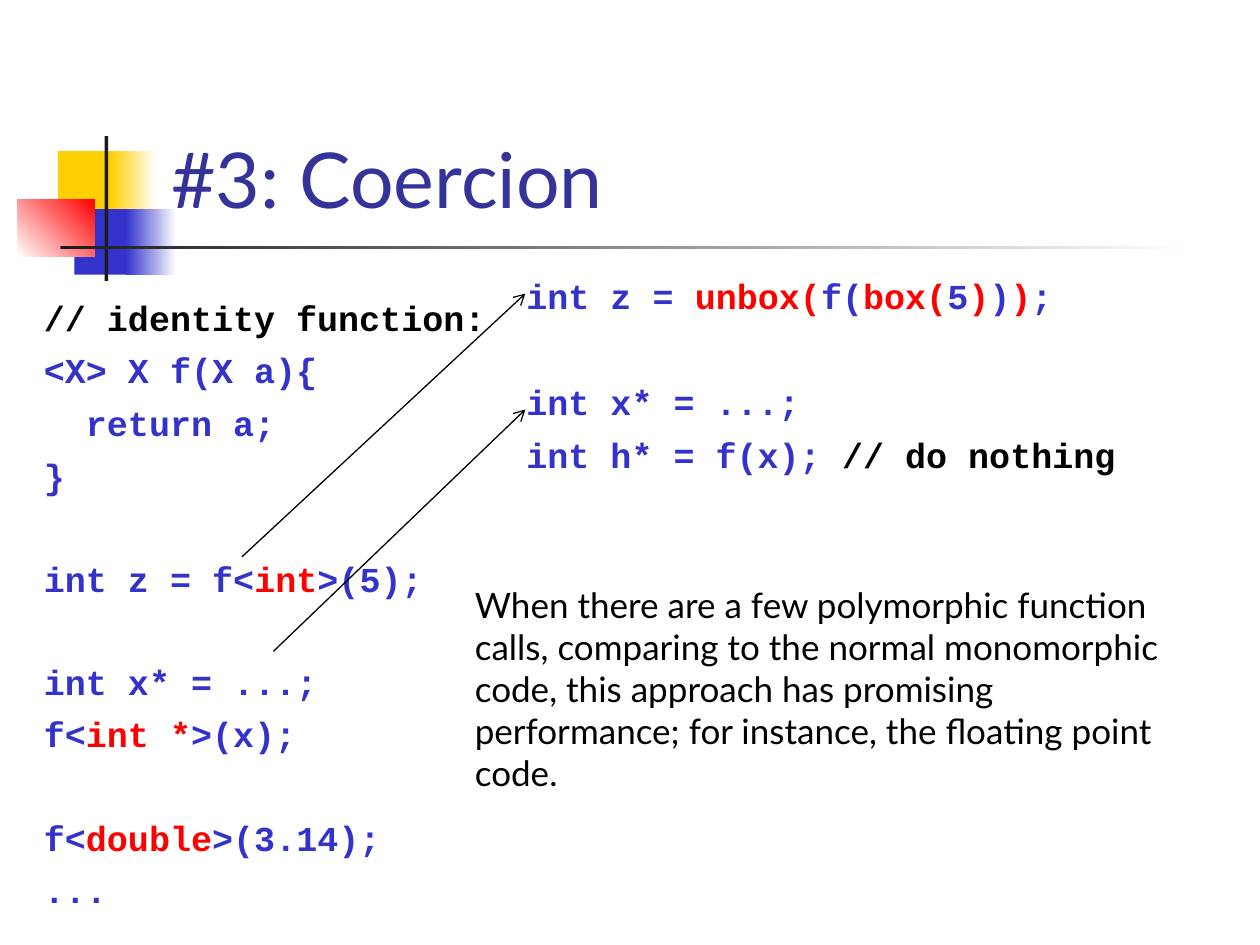
"""Build the slide on coercion of polymorphic calls."""
import dataclasses

import pptx
import pptx.dml.color
import pptx.enum.shapes
import pptx.enum.text
import pptx.oxml
import pptx.oxml.ns
import pptx.util

Inches = pptx.util.Inches
Pt = pptx.util.Pt


@dataclasses.dataclass(frozen=True)
class Theme:
    """Colours, fonts and type sizes of the slide."""

    title: str = "333399"
    code: str = "3333CC"
    accent: str = "FF0000"
    text: str = "000000"
    yellow: str = "FFCF01"
    dark: str = "1C1C1C"
    white: str = "FFFFFF"
    body_font: str = "Lato"
    code_font: str = "Courier New"
    title_size: float = 44
    body_size: float = 20
    line_gap: float = 6.1
    blank_gap: float = 34.9


THEME = Theme()

ORNAMENTS = [
    ((0.46, 1.2, 0.48, 0.52), (THEME.yellow,), 0),
    ((0.88, 1.2, 0.36, 0.52), (THEME.yellow, THEME.white), 0),
    ((0.59, 1.66, 0.46, 0.52), (THEME.code,), 0),
    ((1, 1.66, 0.4, 0.52), (THEME.code, THEME.white), 0),
    ((0.14, 1.58, 0.61, 0.46), (THEME.white, THEME.accent), 45),
    ((0.83, 1.08, 0.03, 1.15), (THEME.dark,), 0),
    ((0.48, 1.95, 9, 0.03), (THEME.dark, THEME.white), 0),
]

GENERIC_CODE = [
    [[("// identity function:", THEME.text)],
     [("<X> X f(X a){", THEME.code)],
     [("  return a;", THEME.code)],
     [("}", THEME.code)]],
    [[("int z = f<", THEME.code), ("int", THEME.accent), (">(5);", THEME.code)]],
    [[("int x* = ...;", THEME.code)],
     [("f<", THEME.code), ("int *", THEME.accent), (">(x);", THEME.code)]],
    [[("f<", THEME.code), ("double", THEME.accent), (">(3.14);", THEME.code)],
     [("...", THEME.code)]],
]

BOXED_CODE = [
    [[("int z = ", THEME.code), ("unbox(", THEME.accent), ("f(", THEME.code),
      ("box(", THEME.accent), ("5", THEME.code), (")", THEME.accent),
      (")", THEME.code), (")", THEME.accent), (";", THEME.code)]],
]

POINTER_CODE = [
    [[("int x* = ...;", THEME.code)],
     [("int h* = f(x); ", THEME.code), ("// do nothing", THEME.text)]],
]

REMARK = (
    "When there are a few polymorphic function calls, comparing to the normal "
    "monomorphic code, this approach has promising performance; for instance, "
    "the floating point code."
)


def rgb(value):
    """Return a colour object for a hex value."""
    return pptx.dml.color.RGBColor.from_string(value)


def style_font(font, name, size, color, bold=False):
    """Set the face, size, colour and weight of a font."""
    font.name = name
    font.size = Pt(size)
    font.bold = bold
    font.color.rgb = rgb(color)


def add_ornament(page, place, colors, angle):
    """Add a borderless rectangle with a plain or gradient fill."""
    shape = page.shapes.add_shape(
        pptx.enum.shapes.MSO_SHAPE.RECTANGLE, *map(Inches, place))
    shape.shadow.inherit = False
    shape.line.fill.background()
    if len(colors) == 1:
        shape.fill.solid()
        shape.fill.fore_color.rgb = rgb(colors[0])
        return
    shape.fill.gradient()
    shape.fill.gradient_angle = angle
    for stop, color, position in zip(shape.fill.gradient_stops, colors, (0, 1)):
        stop.color.rgb = rgb(color)
        stop.position = position


def set_title(page, text):
    """Place and format the title placeholder in front of the ornaments."""
    title = page.shapes.title
    title.element.getparent().append(title.element)
    title.left, title.top, title.width, title.height = map(
        Inches, (1.26, 0.23, 8.52, 1.6))
    frame = title.text_frame
    frame.text = text
    frame.vertical_anchor = pptx.enum.text.MSO_ANCHOR.BOTTOM
    para = frame.paragraphs[0]
    para.alignment = pptx.enum.text.PP_ALIGN.LEFT
    style_font(para.runs[0].font, THEME.body_font, THEME.title_size, THEME.title)


def add_text_box(page, place):
    """Add a wrapping text box and return its frame."""
    frame = page.shapes.add_textbox(*map(Inches, place)).text_frame
    frame.word_wrap = True
    return frame


def add_code(page, place, groups):
    """Add groups of coloured code lines with a wider gap between groups."""
    frame = add_text_box(page, place)
    frame.margin_top = Inches(0.1)
    para = None
    for group in groups:
        for index, line in enumerate(group):
            if para is None:
                para = frame.paragraphs[0]
            else:
                para = frame.add_paragraph()
                para.space_before = Pt(
                    THEME.line_gap if index else THEME.blank_gap)
            for text, color in line:
                span = para.add_run()
                span.text = text
                style_font(span.font, THEME.code_font, THEME.body_size, color, True)


def add_remark(page, place, text):
    """Add a paragraph of body text."""
    frame = add_text_box(page, place)
    frame.text = text
    style_font(frame.paragraphs[0].runs[0].font,
               THEME.body_font, THEME.body_size, THEME.text)


def add_arrow(page, start, end):
    """Add a thin straight arrow with an open head at its end."""
    arrow = page.shapes.add_connector(
        pptx.enum.shapes.MSO_CONNECTOR.STRAIGHT, *map(Inches, start + end))
    arrow.line.width = Pt(0.75)
    arrow.line.color.rgb = rgb(THEME.text)
    properties = arrow.element.spPr
    namespace = pptx.oxml.ns.nsdecls("a")
    outline = properties.find(pptx.oxml.ns.qn("a:ln"))
    outline.append(pptx.oxml.parse_xml(f'<a:tailEnd {namespace} type="arrow"/>'))
    properties.append(pptx.oxml.parse_xml(f"<a:effectLst {namespace}/>"))


def main():
    """Build and save the deck."""
    deck = pptx.Presentation()
    deck.slide_width, deck.slide_height = Inches(10), Inches(7.5)
    page = deck.slides.add_slide(deck.slide_layouts[5])
    for place, colors, angle in ORNAMENTS:
        add_ornament(page, place, colors, angle)
    set_title(page, "#3: Coercion")
    add_code(page, (0.25, 2.25, 4.42, 4.5), GENERIC_CODE)
    add_code(page, (4.08, 2.08, 5.67, 0.67), BOXED_CODE)
    add_arrow(page, (1.92, 4.42), (4.17, 2.33))
    add_remark(page, (3.67, 4.58, 5.75, 1.78), REMARK)
    add_code(page, (4.08, 2.92, 5.67, 1.08), POINTER_CODE)
    add_arrow(page, (2.17, 5.17), (4.17, 3.25))
    deck.save("out.pptx")


if __name__ == "__main__":
    main()
